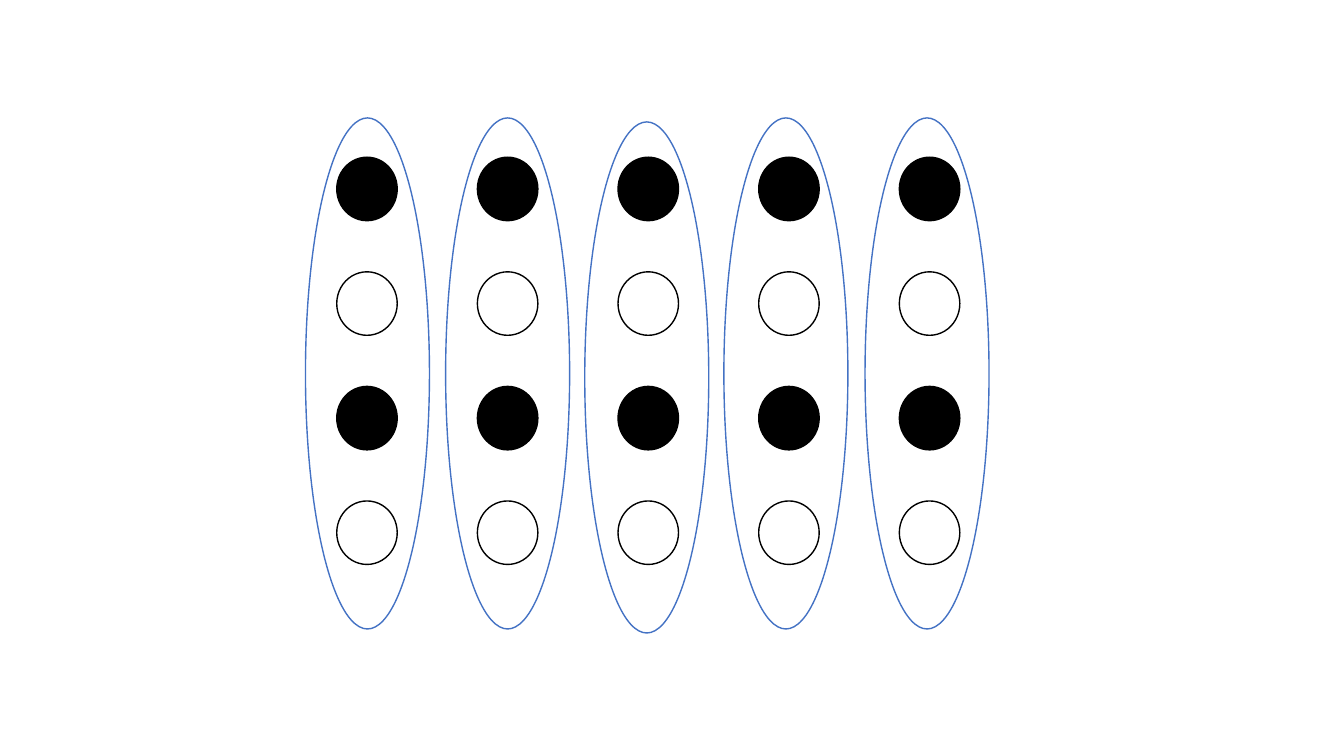
import pptx
import pptx.util
import pptx.dml.color
import pptx.enum.shapes

Inches = pptx.util.Inches


def rgb(value):
    """Turn a hex string into a colour."""
    return pptx.dml.color.RGBColor.from_string(value)


class Deck:
    """Hold the slide and the style of its ellipses."""

    BLACK = "000000"
    WHITE = "FFFFFF"
    BLUE = "4472C4"
    LINE_WIDTH = pptx.util.Pt(1)

    def __init__(self, prs):
        """Add a blank slide with a white background."""
        self.s = prs.slides.add_slide(prs.slide_layouts[6])
        fill = self.s.background.fill
        fill.solid()
        fill.fore_color.rgb = rgb(self.WHITE)

    def ellipse(self, left, top, width, height, line, fill=None):
        """Draw an outlined ellipse, filled when a fill is given."""
        sp = self.s.shapes.add_shape(
            pptx.enum.shapes.MSO_SHAPE.OVAL,
            Inches(left), Inches(top), Inches(width), Inches(height))
        sp.shadow.inherit = False
        if fill:
            sp.fill.solid()
            sp.fill.fore_color.rgb = rgb(fill)
        else:
            sp.fill.background()
        sp.line.color.rgb = rgb(line)
        sp.line.width = self.LINE_WIDTH

    def dot(self, left, top, fill):
        """Draw one dot of the grid."""
        self.ellipse(left, top, 0.6, 0.63, self.BLACK, fill)

    def ring(self, left, top):
        """Draw the tall ring around one column of dots."""
        self.ellipse(left, top, 1.23, 5.07, self.BLUE)


def main():
    """Build the slide and save it."""
    prs = pptx.Presentation()
    prs.slide_width, prs.slide_height = Inches(13.33), Inches(7.5)
    deck = Deck(prs)

    columns = [3.34 + i * (8.92 - 3.34) / 4 for i in range(5)]
    rows = [1.56 + i * (4.97 - 1.56) / 3 for i in range(4)]
    for fill, tops in ((deck.BLACK, rows[::2]), (deck.WHITE, rows[1::2])):
        for top in tops:
            for left in columns:
                deck.dot(left, top, fill)

    rings = [(4.42, 1.17), (3.03, 1.17), (5.8, 1.21), (7.18, 1.17), (8.58, 1.17)]
    for left, top in rings:
        deck.ring(left, top)

    prs.save("out.pptx")


if __name__ == "__main__":
    main()
